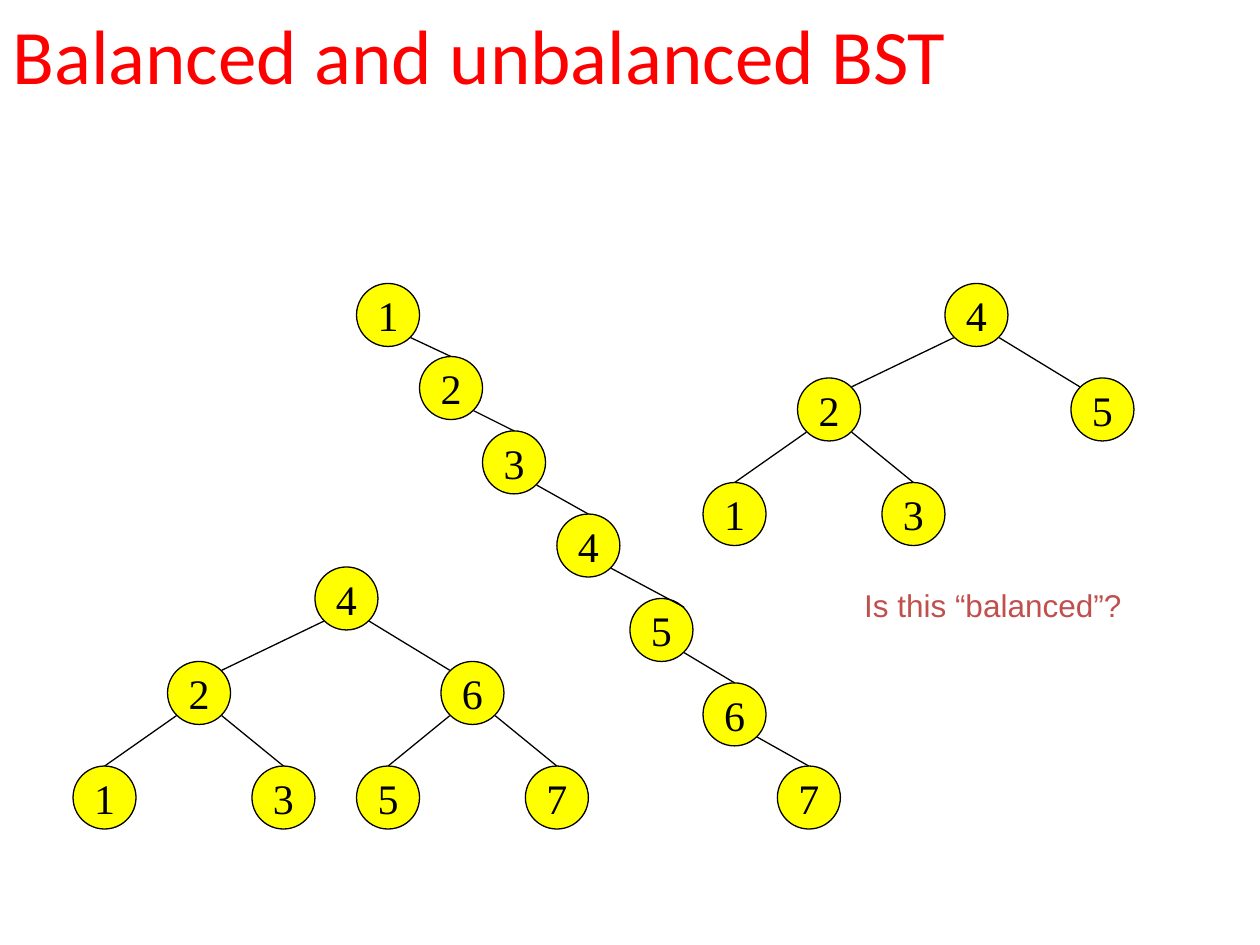
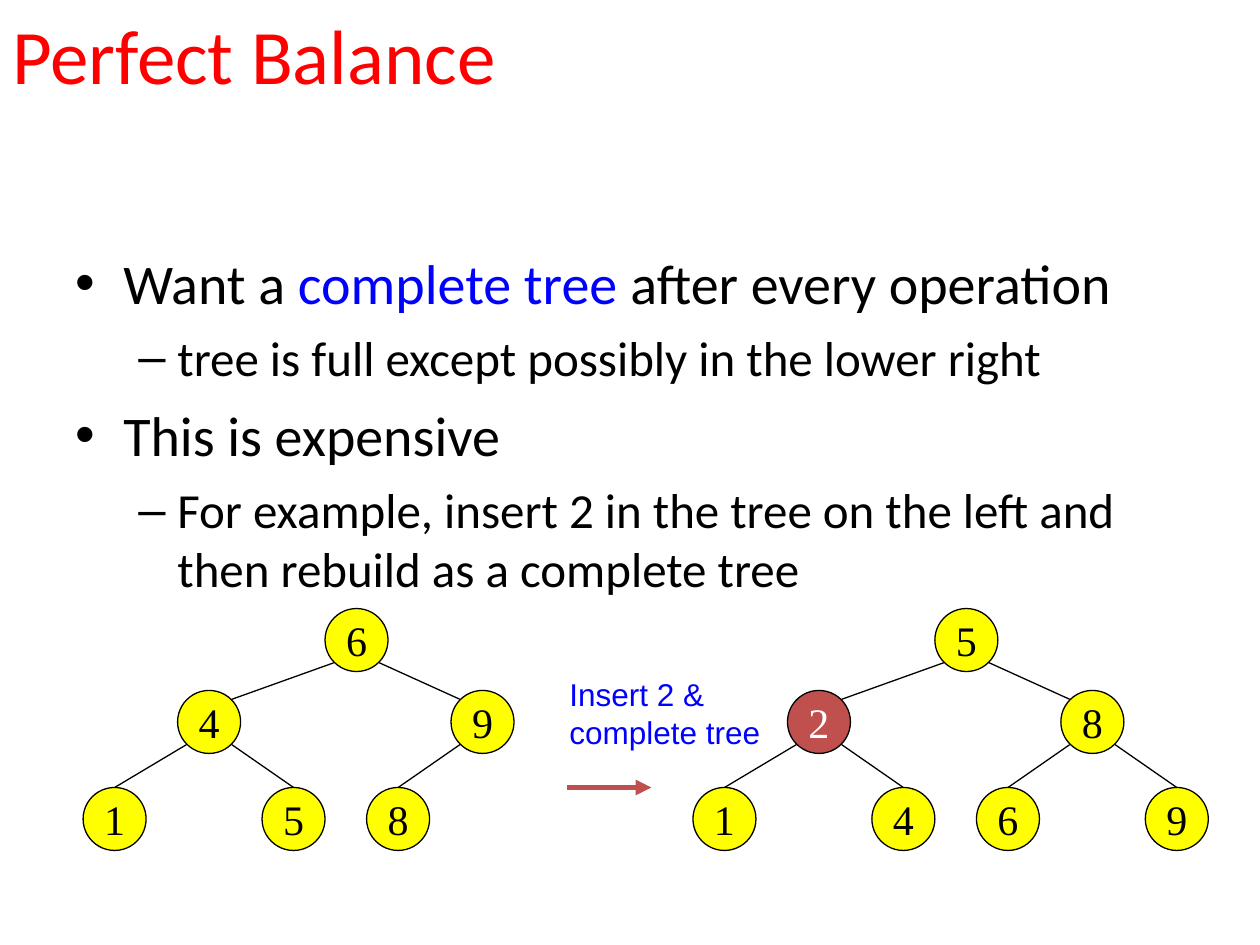
from lxml.etree import SubElement
from pptx import Presentation
from pptx.dml.color import RGBColor
from pptx.enum.shapes import MSO_CONNECTOR as Connector, MSO_SHAPE as Shape
from pptx.enum.text import MSO_ANCHOR as Anchor, MSO_AUTO_SIZE as AutoSize, PP_ALIGN as Align
from pptx.oxml.ns import qn
from pptx.util import Inches, Pt

color = RGBColor.from_string
BLACK, WHITE, RED, BLUE = "000000", "FFFFFF", "FF0000", "0000FF"
YELLOW, BRICK = "FFFF00", "C0504D"
NODE_SIZE = 0.5
CENTER, NEAR, FAR = 0.25, 0.07, 0.43


def add_node(page, key, left, top, fill=YELLOW, ink=BLACK):
    node = page.shapes.add_shape(Shape.OVAL, Inches(left), Inches(top),
                                 Inches(NODE_SIZE), Inches(NODE_SIZE))
    node.shadow.inherit = False
    node.fill.solid()
    node.fill.fore_color.rgb = color(fill)
    node.line.color.rgb = color(BLACK)
    node.line.width = Pt(0.75)
    frame = node.text_frame
    frame.text = key
    frame.word_wrap = False
    frame.vertical_anchor = Anchor.MIDDLE
    para = frame.paragraphs[0]
    para.alignment = Align.CENTER
    para.font.name = "Times New Roman"
    para.font.size = Pt(24)
    para.font.color.rgb = color(ink)


def add_line(page, start, end, ink=BLACK, width=0.75):
    line = page.shapes.add_connector(
        Connector.STRAIGHT, *[Inches(value) for value in (*start, *end)])
    line.line.color.rgb = color(ink)
    line.line.width = Pt(width)
    SubElement(line._element.spPr, qn("a:effectLst"))
    return line


deck = Presentation()
deck.slide_width = Inches(10)
deck.slide_height = Inches(7.5)

pages = []
for title, width in (("Balanced and unbalanced BST", 8.83), ("Perfect Balance", 9)):
    page = deck.slides.add_slide(deck.slide_layouts[6])
    pages.append(page)
    box = page.shapes.add_textbox(0, Inches(-0.2), Inches(width), Inches(1.25))
    frame = box.text_frame
    frame.text = title
    frame.word_wrap = True
    frame.vertical_anchor = Anchor.MIDDLE
    font = frame.paragraphs[0].font
    font.name = "Calibri"
    font.size = Pt(44)
    font.color.rgb = color(RED)
types_page, balance_page = pages

bullets = [
    (0, ["Want a ", "complete tree", " after every operation"]),
    (1, ["tree is full except possibly in the lower right"]),
    (0, ["This is expensive"]),
    (1, ["For example, insert 2 in the tree on the left and "
         "then rebuild as a complete tree"]),
]
levels = [("•", 0.38, 0.38, 32, 8), ("–", 0.81, 0.31, 28, 7)]
box = balance_page.shapes.add_textbox(Inches(0.5), Inches(1.92), Inches(9.25), Inches(3))
frame = box.text_frame
frame.word_wrap = True
for index, (level, pieces) in enumerate(bullets):
    mark, margin, hanging, size, space = levels[level]
    para = frame.add_paragraph() if index else frame.paragraphs[0]
    para.level = level
    para.space_before = Pt(space if index else 0)
    properties = para._p.get_or_add_pPr()
    properties.set("marL", str(Inches(margin)))
    properties.set("indent", str(-Inches(hanging)))
    SubElement(properties, qn("a:buFont")).set("typeface", "Arial")
    SubElement(properties, qn("a:buChar")).set("char", mark)
    for piece in pieces:
        span = para.add_run()
        span.text = piece
        span.font.name = "Calibri"
        span.font.size = Pt(size)
        span.font.color.rgb = color(BLUE if piece == "complete tree" else BLACK)

labels = [
    (types_page, "Is this “balanced”?", 6.76, 4.6, 2.24, 0.4, BRICK),
    (balance_page, "Insert 2 &\ncomplete tree", 4.42, 5.31, 1.75, 0.7, BLUE),
]
for page, text, left, top, width, height, ink in labels:
    box = page.shapes.add_textbox(Inches(left), Inches(top), Inches(width), Inches(height))
    box.text_frame.text = text
    box.text_frame.word_wrap = False
    box.text_frame.auto_size = AutoSize.SHAPE_TO_FIT_TEXT
    for para in box.text_frame.paragraphs:
        para.font.name = "Arial"
        para.font.size = Pt(18)
        para.font.color.rgb = color(ink)

node_offsets = [0, -1.17, 1, -1.92, -0.5, 0.33, 1.67]
node_depths = [0, 1, 1, 2, 2, 2, 2]
trees = [
    (types_page, "42513", 7.5, (2.25, 3, 3.83)),
    (types_page, "4261357", 2.5, (4.5, 5.25, 6.08)),
    (balance_page, "649158", 2.58, (4.83, 5.48, 6.25)),
    (balance_page, "5281469", 7.42, (4.83, 5.48, 6.25)),
]
for page, keys, root_left, tops in trees:
    spots = [(root_left + offset, tops[depth])
             for offset, depth in zip(node_offsets, node_depths)]
    for key, (left, top) in zip(keys, spots):
        inserted = page is balance_page and key == "2"
        add_node(page, key, left, top, *((BRICK, WHITE) if inserted else ()))
    for child in range(1, len(keys)):
        parent_left, parent_top = spots[(child - 1) // 2]
        left, top = spots[child]
        leaves_by, enters_by = (NEAR, FAR) if child % 2 else (FAR, NEAR)
        is_leaf = node_depths[child] == 2
        add_line(page, (parent_left + leaves_by, parent_top + FAR),
                 (left + (CENTER if is_leaf else enters_by), top + (0 if is_leaf else NEAR)))

chain = [(2.83, 2.25), (3.33, 2.83), (3.83, 3.42), (4.42, 4.08),
         (5, 4.75), (5.58, 5.42), (6.17, 6.08)]
for number, (left, top) in enumerate(chain, 1):
    add_node(types_page, str(number), left, top)
for number, ((left, top), (next_left, next_top)) in enumerate(zip(chain, chain[1:]), 1):
    enters_at = (FAR, NEAR) if number == 4 else (CENTER, 0)
    add_line(types_page, (left + FAR, top + FAR),
             (next_left + enters_at[0], next_top + enters_at[1]))

arrow = add_line(balance_page, (4.5, 6.25), (5.17, 6.25), BRICK, 3)
SubElement(arrow.line._get_or_add_ln(), qn("a:tailEnd")).set("type", "triangle")

deck.save("out.pptx")
